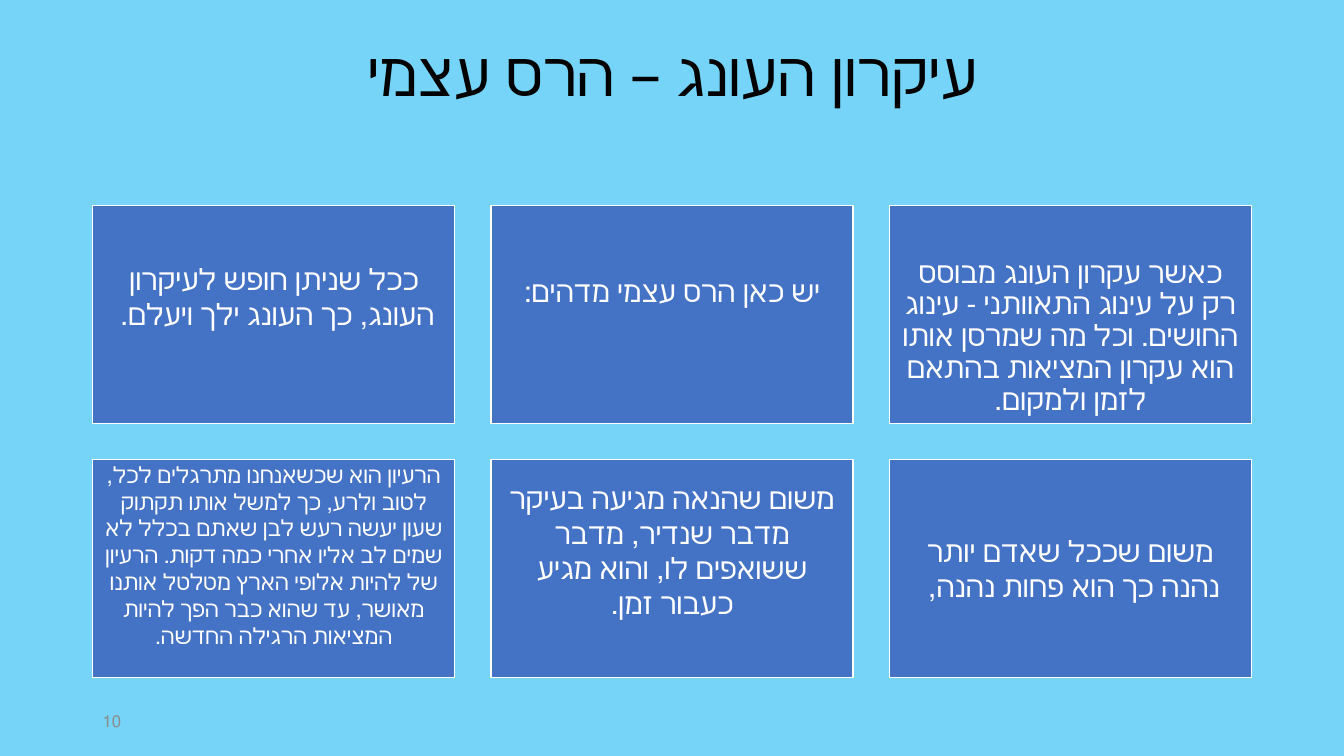
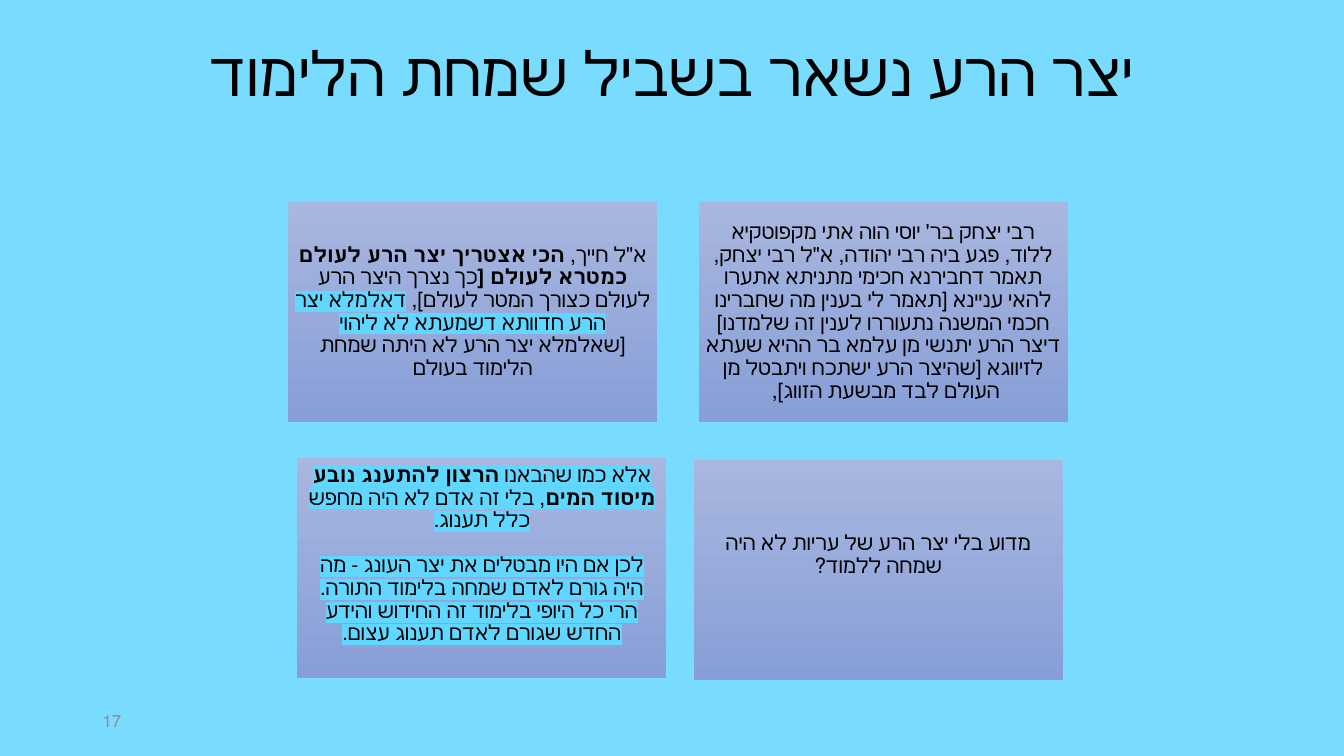
import pptx
import pptx.dml.color
import pptx.enum.shapes
import pptx.enum.text
import pptx.oxml.ns
import pptx.util
from lxml import etree

Inches = pptx.util.Inches
Pt = pptx.util.Pt
qn = pptx.oxml.ns.qn
ALIGN = pptx.enum.text.PP_ALIGN
ANCHOR = pptx.enum.text.MSO_ANCHOR

FONT = "Calibri"
COLORS = {
    "pleasure": "75D4F7",
    "study": "79DCFF",
    "card": "4472C4",
    "card_top": "A8B7DF",
    "card_bottom": "889ED7",
    "highlight": "61D6FF",
    "white": "FFFFFF",
    "black": "000000",
    "number": "8C8C8C",
}
BOLD = {"bold": True}
MARKED = {"highlight": True}
MARKED_BOLD = {"bold": True, "highlight": True}


def rgb(name):
    return pptx.dml.color.RGBColor.from_string(COLORS[name])


class Deck:
    def __init__(self):
        self.prs = pptx.Presentation()
        self.prs.slide_width = Inches(13.33)
        self.prs.slide_height = Inches(7.5)
        self.s = None

    def slide(self, title, background, number):
        self.s = self.prs.slides.add_slide(self.prs.slide_layouts[5])
        fill = self.s.background.fill
        fill.solid()
        fill.fore_color.rgb = rgb(background)
        sp = self.s.shapes.title
        sp.left, sp.top, sp.width, sp.height = map(Inches, (0.92, 0.38, 11.5, 1.45))
        self.frame(sp.text_frame, ANCHOR.TOP)
        self.paragraph(sp.text_frame.paragraphs[0], title, 44, "black", spacing=0.9)
        self.page_number(number)

    def page_number(self, number):
        sp = self.s.shapes.add_textbox(*map(Inches, (0.92, 6.95, 3, 0.4)))
        self.frame(sp.text_frame, ANCHOR.MIDDLE)
        self.paragraph(sp.text_frame.paragraphs[0], str(number), 12, "number",
                       align=ALIGN.LEFT)

    def frame(self, tf, anchor, **margins):
        values = {"word_wrap": True, "vertical_anchor": anchor,
                  "auto_size": pptx.enum.text.MSO_AUTO_SIZE.NONE}
        values.update({f"margin_{side}": Inches(v) for side, v in margins.items()})
        for name, value in values.items():
            setattr(tf, name, value)

    def paragraph(self, p, runs, size, color, spacing=1.0, after=0,
                  align=ALIGN.CENTER):
        """Fill a right-to-left paragraph from a string or (text, style) pairs."""
        values = {"alignment": align, "line_spacing": spacing,
                  "space_before": Pt(0), "space_after": Pt(after)}
        for name, value in values.items():
            setattr(p, name, value)
        p._p.get_or_add_pPr().set("rtl", "1")
        for text, style in [(runs, {})] if isinstance(runs, str) else runs:
            for i, line in enumerate(text.split("\n")):
                if i:
                    p.add_line_break()
                self.run(p, line, size, color, **style)

    def run(self, p, text, size, color, bold=False, highlight=False):
        r = p.add_run()
        r.text = text
        for name, value in {"size": Pt(size), "name": FONT, "bold": bold}.items():
            setattr(r.font, name, value)
        r.font.color.rgb = rgb(color)
        rPr = r._r.get_or_add_rPr()
        rPr.set("lang", "he-IL")
        if highlight:
            mark = etree.Element(qn("a:highlight"))
            etree.SubElement(mark, qn("a:srgbClr")).set("val", COLORS["highlight"])
            rPr.find(qn("a:solidFill")).addnext(mark)

    def card(self, box, paragraphs, size, color, inset, above=0, below=0,
             spacing=1.0, gradient=False):
        """Draw a text card; above and below add room that shifts its text.

        paragraphs holds pairs of runs and points of space after.
        """
        sp = self.s.shapes.add_shape(pptx.enum.shapes.MSO_SHAPE.RECTANGLE,
                                     *map(Inches, box))
        sp.shadow.inherit = False
        if gradient:
            sp.fill.gradient()
            sp.fill.gradient_angle = 270
            for stop, name in zip(sp.fill.gradient_stops, ("card_top", "card_bottom")):
                stop.color.rgb = rgb(name)
            sp.line.fill.background()
        else:
            sp.fill.solid()
            sp.fill.fore_color.rgb = rgb("card")
            sp.line.color.rgb = rgb("white")
            sp.line.width = Pt(1)
        tf = sp.text_frame
        self.frame(tf, ANCHOR.MIDDLE, left=inset, right=inset,
                   top=inset + above, bottom=inset + below)
        for i, (runs, after) in enumerate(paragraphs):
            p = tf.add_paragraph() if i else tf.paragraphs[0]
            self.paragraph(p, runs, size, color, spacing, after)


def pleasure_slide(deck):
    deck.slide("עיקרון העונג – הרס עצמי", "pleasure", 10)
    cards = [
        ("ככל שניתן חופש לעיקרון העונג, כך העונג ילך ויעלם. ", {"below": 0.36}),
        ("יש כאן הרס עצמי מדהים:", {"below": 0.42, "spacing": 0.9}),
        ("כאשר עקרון העונג מבוסס רק על עינוג התאוותני - עינוג החושים. וכל מה "
         "שמרסן אותו הוא עקרון המציאות בהתאם לזמן ולמקום.",
         {"above": 0.45, "spacing": 0.9, "inset": 0.11}),
        ("הרעיון הוא שכשאנחנו מתרגלים לכל, לטוב ולרע, כך למשל אותו תקתוק שעון "
         "יעשה רעש לבן שאתם בכלל לא שמים לב אליו אחרי כמה דקות. הרעיון של להיות "
         "אלופי הארץ מטלטל אותנו מאושר, עד שהוא כבר הפך להיות המציאות הרגילה החדשה.",
         {"below": 0.27, "size": 16, "inset": 0.07}),
        ("משום שהנאה מגיעה בעיקר מדבר שנדיר, מדבר ששואפים לו, והוא מגיע כעבור זמן.",
         {"below": 0.36}),
        ("משום שככל שאדם יותר נהנה כך הוא פחות נהנה, ", {}),
    ]
    for i, (text, style) in enumerate(cards):
        row, col = divmod(i, 3)
        box = (0.92 + 3.95 * col, 2.04 + 2.52 * row, 3.59, 2.16)
        deck.card(box, [(text, 0)],
                  **{"size": 21, "color": "white", "inset": 0.09, **style})


def study_slide(deck):
    deck.slide("יצר הרע נשאר בשביל שמחת הלימוד", "study", 17)
    need = [
        ("א\"ל חייך, ", {}),
        ("הכי אצטריך יצר הרע לעולם כמטרא לעולם [", BOLD),
        ("כך נצרך היצר הרע לעולם כצורך המטר לעולם], ", {}),
        ("דאלמלא יצר הרע חדוותא דשמעתא לא ליהוי ", MARKED),
        ("[שאלמלא יצר הרע לא היתה שמחת הלימוד בעולם", {}),
    ]
    meeting = (
        "רבי יצחק בר' יוסי הוה אתי מקפוטקיא\nללוד, פגע ביה רבי יהודה, א\"ל רבי יצחק, "
        "תאמר דחבירנא חכימי מתניתא אתערו להאי עניינא [תאמר לי בענין מה שחברינו "
        "חכמי המשנה נתעוררו לענין זה שלמדנו] דיצר הרע יתנשי מן עלמא בר ההיא שעתא "
        "לזיווגא [שהיצר הרע ישתכח ויתבטל מן העולם לבד מבשעת הזווג], "
    )
    desire = [
        ("אלא כמו שהבאנו ", MARKED),
        ("הרצון להתענג נובע מיסוד המים", MARKED_BOLD),
        (", בלי זה אדם לא היה מחפש כלל תענוג.", MARKED),
    ]
    without = [("לכן אם היו מבטלים את יצר העונג - מה\nהיה גורם לאדם שמחה "
                "בלימוד התורה.", MARKED)]
    novelty = [("הרי כל היופי בלימוד זה החידוש והידע החדש שגורם לאדם "
                "תענוג עצום.", MARKED)]
    question = "מדוע בלי יצר הרע של עריות לא היה שמחה ללמוד?"
    cards = [
        (2.86, 2, [(need, 0)], 0),
        (6.93, 2, [(meeting, 0)], 0),
        (2.95, 4.54, [(desire, 16), (without, 0), (novelty, 0)], 0.26),
        (6.88, 4.56, [(question, 0)], 0.3),
    ]
    for left, top, paragraphs, below in cards:
        deck.card((left, top, 3.66, 2.19), paragraphs, 15, "black", 0.06,
                  below=below, spacing=0.9, gradient=True)


def main():
    deck = Deck()
    pleasure_slide(deck)
    study_slide(deck)
    deck.prs.save("out.pptx")


if __name__ == "__main__":
    main()
